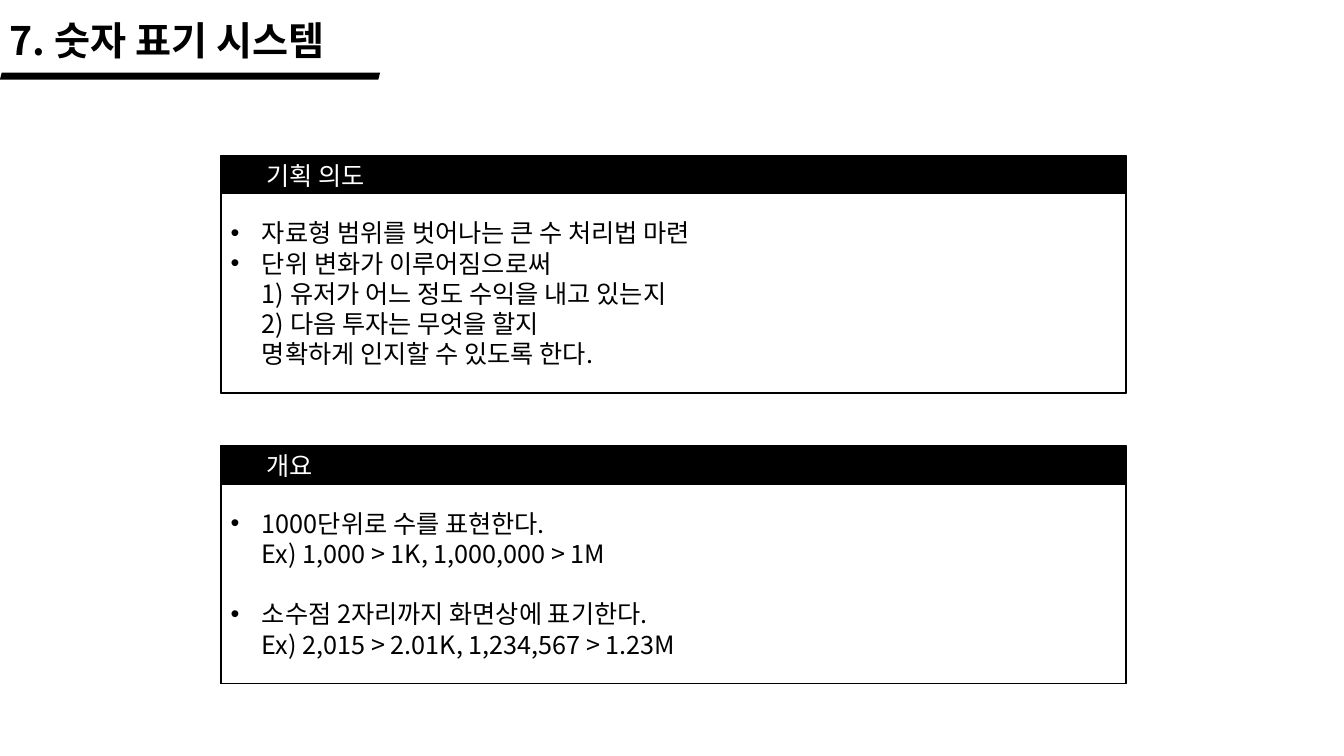
from lxml import etree
from pptx import Presentation
from pptx.dml.color import RGBColor
from pptx.enum.shapes import MSO_SHAPE
from pptx.enum.text import MSO_ANCHOR
from pptx.oxml.ns import qn
from pptx.util import Inches, Pt

RECTANGLE = MSO_SHAPE.RECTANGLE
PARALLELOGRAM = MSO_SHAPE.PARALLELOGRAM
MIDDLE = MSO_ANCHOR.MIDDLE
TOP = MSO_ANCHOR.TOP

TITLE = "7. 숫자 표기 시스템"
PANELS = [
    {
        "heading": "기획 의도",
        "bullets": [
            "자료형 범위를 벗어나는 큰 수 처리법 마련",
            "단위 변화가 이루어짐으로써\n1) 유저가 어느 정도 수익을 내고 있는지\n"
            "2) 다음 투자는 무엇을 할지\n명확하게 인지할 수 있도록 한다.",
        ],
        "lines_between": 0,
    },
    {
        "heading": "개요",
        "bullets": [
            "1000단위로 수를 표현한다.\nEx) 1,000 > 1K, 1,000,000 > 1M",
            "소수점 2자리까지 화면상에 표기한다.\nEx) 2,015 > 2.01K, 1,234,567 > 1.23M",
        ],
        "lines_between": 1,
    },
]

COLORS = {"black": "000000", "white": "FFFFFF"}
FONT = "Noto Sans CJK KR"
LINE_HEIGHT = 1.2
WIDTH, HEIGHT = 13.33, 7.5
PANEL_LEFT, PANEL_TOP = 2.19, 1.54
PANEL_WIDTH, PANEL_HEIGHT = 8.98, 2.36
PANEL_PITCH = 2.88
HEADING_HEIGHT = 0.38
HEADING_INSET = 0.35
BULLET_INDENT = 0.31


def add_box(shapes, preset, left, top, width, height, fill, line=None):
    shape = shapes.add_shape(
        preset, Inches(left), Inches(top), Inches(width), Inches(height)
    )
    shape.shadow.inherit = False
    shape.fill.solid()
    shape.fill.fore_color.rgb = RGBColor.from_string(COLORS[fill])
    if line:
        shape.line.color.rgb = RGBColor.from_string(COLORS[line])
        shape.line.width = Pt(1)
    else:
        shape.line.fill.background()
    return shape


def write_text(shape, paragraphs, size=18, color="black", bold=False,
               anchor=TOP, bulleted=False, lines_between=0):
    frame = shape.text_frame
    frame.word_wrap = True
    frame.vertical_anchor = anchor
    for index, text in enumerate(paragraphs):
        paragraph = frame.add_paragraph() if index else frame.paragraphs[0]
        paragraph.text = text
        paragraph.line_spacing = Pt(size * LINE_HEIGHT)
        paragraph.space_before = Pt(size * LINE_HEIGHT * lines_between if index else 0)
        properties = paragraph._p.get_or_add_pPr()
        properties.set("algn", "l")
        if bulleted:
            properties.set("marL", str(Inches(BULLET_INDENT)))
            properties.set("indent", str(-Inches(BULLET_INDENT)))
            etree.SubElement(properties, qn("a:buFont"), typeface="Arial")
            etree.SubElement(properties, qn("a:buChar"), char="•")
        for run in paragraph.runs:
            run.font.name = FONT
            run.font.size = Pt(size)
            run.font.bold = bold
            run.font.color.rgb = RGBColor.from_string(COLORS[color])
            east_asian = etree.SubElement(run._r.get_or_add_rPr(), qn("a:ea"))
            east_asian.set("typeface", FONT)


def add_title(slide):
    shapes = slide.shapes.add_group_shape().shapes
    title = shapes.add_textbox(0, Inches(0.11), Inches(4.02), Inches(0.57))
    write_text(title, [TITLE], size=28, bold=True)
    add_box(shapes, PARALLELOGRAM, 0, 0.72, 3.77, 0.07, "black")


def add_panel(slide, panel, top):
    shapes = slide.shapes.add_group_shape().shapes
    add_box(shapes, RECTANGLE, PANEL_LEFT, top, PANEL_WIDTH, PANEL_HEIGHT,
            "black", line="black")
    body = add_box(shapes, RECTANGLE, PANEL_LEFT, top + HEADING_HEIGHT, PANEL_WIDTH,
                   PANEL_HEIGHT - HEADING_HEIGHT, "white", line="black")
    write_text(body, panel["bullets"], anchor=MIDDLE, bulleted=True,
               lines_between=panel["lines_between"])
    heading = shapes.add_textbox(
        Inches(PANEL_LEFT + HEADING_INSET), Inches(top),
        Inches(PANEL_WIDTH - 2 * HEADING_INSET), Inches(HEADING_HEIGHT)
    )
    write_text(heading, [panel["heading"]], color="white")


def main():
    presentation = Presentation()
    presentation.slide_width = Inches(WIDTH)
    presentation.slide_height = Inches(HEIGHT)
    slide = presentation.slides.add_slide(presentation.slide_layouts[6])
    add_title(slide)
    for index, panel in enumerate(PANELS):
        add_panel(slide, panel, PANEL_TOP + index * PANEL_PITCH)
    presentation.save("out.pptx")


if __name__ == "__main__":
    main()
